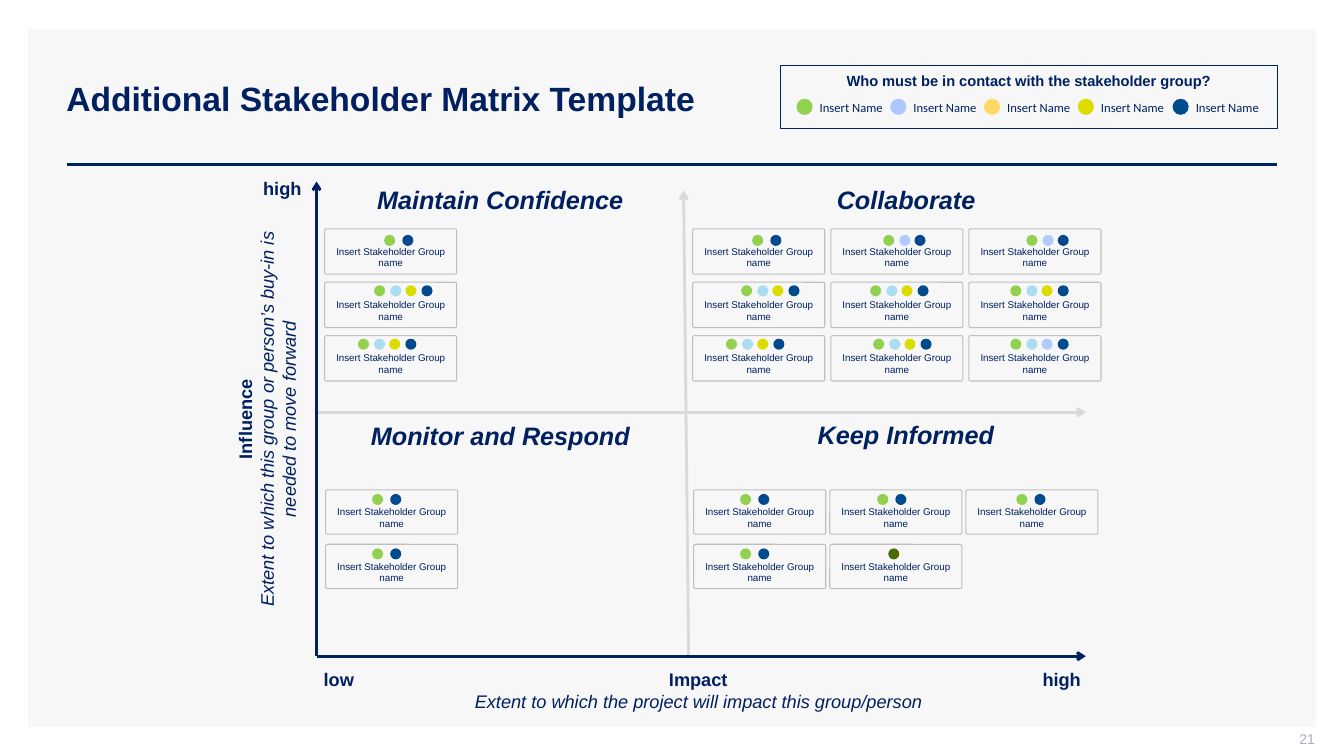
import pptx
import pptx.dml.color
import pptx.enum.shapes
import pptx.enum.text
import pptx.oxml
import pptx.oxml.ns
import pptx.util

PX = 9144  # 100 px to the inch
Color = pptx.dml.color.RGBColor
Shape = pptx.enum.shapes.MSO_SHAPE
Align = pptx.enum.text.PP_ALIGN
Anchor = pptx.enum.text.MSO_ANCHOR

NAVY = Color(0x00, 0x20, 0x60)
PANEL = Color(0xF7, 0xF7, 0xF7)
CARD_EDGE = Color(0xBF, 0xBF, 0xBF)
GRID = Color(0xD9, 0xD9, 0xD9)
PAGE_GREY = Color(0xAD, 0xAF, 0xBB)
GREEN = Color(0x92, 0xD0, 0x50)
PERIWINKLE = Color(0xAC, 0xC8, 0xFF)
LAVENDER = Color(0xB1, 0xCB, 0xFF)
AMBER = Color(0xFF, 0xD9, 0x66)
LIME = Color(0xDC, 0xDC, 0x00)
BLUE = Color(0x00, 0x4A, 0x8D)
SKY = Color(0xAA, 0xDD, 0xF1)
OLIVE = Color(0x49, 0x6A, 0x00)

LABEL_INSETS = (7, 4, 7, 4)
UPPER_CARD = (131, 45)
LOWER_CARD = (131, 44)

# Distance from the first dot to the last, by number of dots
DOT_SPANS = {1: 0, 2: 18, 3: 31, 4: 47}
PAIR = (GREEN, BLUE)
TRIO = (GREEN, LAVENDER, BLUE)
FOUR = (GREEN, SKY, LIME, BLUE)
FOUR_LAVENDER = (GREEN, SKY, LAVENDER, BLUE)

# Heading, its box, first card, card size, card steps, and rows:
# (dot drop, [(dot start, dot colours) for each card])
QUADRANTS = [
    ("Maintain Confidence", (367, 179, 261, 37), (322, 227), UPPER_CARD, (137, 53),
     [(6, [(59, PAIR)]), (3, [(49, FOUR)]), (3, [(33, FOUR)])]),
    ("Collaborate", (823, 179, 153, 37), (687, 227), UPPER_CARD, (137, 53),
     [(6, [(59, PAIR), (52, TRIO), (57, TRIO)]),
      (3, [(48, FOUR), (39, FOUR), (41, FOUR)]),
      (3, [(33, FOUR), (42, FOUR), (41, FOUR_LAVENDER)])]),
    ("Monitor and Respond", (361, 413, 274, 37), (323, 486), LOWER_CARD, (135, 54),
     [(4, [(46, PAIR)]), (4, [(46, PAIR)])]),
    ("Keep Informed", (804, 412, 191, 37), (688, 486), LOWER_CARD, (135, 54),
     [(4, [(46, PAIR), (47, PAIR), (50, PAIR)]),
      (4, [(46, PAIR), (58, (OLIVE,))])]),
]


def scaled(lengths):
    return [length * PX for length in lengths]


def add_plain_shape(page, kind, box, fill=None, edge=None, edge_width=0.75):
    shape = page.shapes.add_shape(kind, *scaled(box))
    shape.shadow.inherit = False
    if fill is None:
        shape.fill.background()
    else:
        shape.fill.solid()
        shape.fill.fore_color.rgb = fill
    if edge is None:
        shape.line.fill.background()
    else:
        shape.line.color.rgb = edge
        shape.line.width = pptx.util.Pt(edge_width)
    return shape


def add_dot(page, left, top, size, color):
    add_plain_shape(page, Shape.OVAL, (left, top, size, size), fill=color)


def set_frame(frame, insets, anchor=Anchor.TOP, wrap=True):
    frame.word_wrap = wrap
    frame.vertical_anchor = anchor
    (frame.margin_left, frame.margin_top,
     frame.margin_right, frame.margin_bottom) = scaled(insets)


def add_span(para, text, size, bold=False, italic=False, color=NAVY, face="Arial"):
    span = para.add_run()
    span.text = text
    span.font.name = face
    span.font.size = pptx.util.Pt(size)
    span.font.bold = bold
    span.font.italic = italic
    span.font.color.rgb = color


def add_label(page, box, text, size, align=Align.LEFT, insets=LABEL_INSETS,
              anchor=Anchor.TOP, wrap=False, **style):
    """Add a text box with one paragraph of one span, and return the box."""
    label = page.shapes.add_textbox(*scaled(box))
    set_frame(label.text_frame, insets, anchor, wrap)
    para = label.text_frame.paragraphs[0]
    para.alignment = align
    add_span(para, text, size, **style)
    return label


def add_line(page, start, end, color, arrow=False):
    line = page.shapes.add_connector(
        pptx.enum.shapes.MSO_CONNECTOR.STRAIGHT, *scaled(start + end))
    line.line.color.rgb = color
    line.line.width = pptx.util.Pt(2)
    if arrow:
        head = pptx.oxml.parse_xml(
            f'<a:tailEnd {pptx.oxml.ns.nsdecls("a")} type="arrow"/>')
        line.line._get_or_add_ln().append(head)
    line.element.spPr.append(
        pptx.oxml.parse_xml(f'<a:effectLst {pptx.oxml.ns.nsdecls("a")}/>'))


def add_header(page, box):
    left, top, width, height = box
    title = add_label(page, (left, top, 700, height),
                      "Additional Stakeholder Matrix Template", 24,
                      insets=(10, 5, 10, 5), anchor=Anchor.MIDDLE, wrap=True, bold=True)
    title.text_frame.paragraphs[0].line_spacing = 0.9
    rule_top = top + height + 4
    add_line(page, (left + 10, rule_top), (left + width, rule_top), NAVY)


def add_legend(page, box):
    left, top = box[:2]
    panel = add_plain_shape(page, Shape.RECTANGLE, box, edge=NAVY, edge_width=0.5)
    set_frame(panel.text_frame, (8, 8, 8, 8))
    para = panel.text_frame.paragraphs[0]
    para.alignment = Align.CENTER
    para.line_spacing = 0.9
    add_span(para, "Who must be in contact with the stakeholder group?", 10.5, bold=True)
    for index, color in enumerate((GREEN, PERIWINKLE, AMBER, LIME, BLUE)):
        dot_left = left + 16 + 373 * index // 4
        add_dot(page, dot_left, top + 33, 16, color)
        add_label(page, (dot_left + 16, top + 30, 77, 22), "Insert Name", 9, face="Calibri")


def add_card(page, box, dot_drop, dot_start, colors):
    left, top = box[:2]
    card = add_plain_shape(page, Shape.ROUNDED_RECTANGLE, box, edge=CARD_EDGE)
    card.adjustments[0] = 0.04
    set_frame(card.text_frame, (2, 16, 2, 5), Anchor.MIDDLE)
    para = card.text_frame.paragraphs[0]
    para.alignment = Align.CENTER
    add_span(para, "Insert Stakeholder Group name", 7)
    gaps = max(len(colors) - 1, 1)
    for index, color in enumerate(colors):
        shift = round(DOT_SPANS[len(colors)] * index / gaps)
        add_dot(page, left + dot_start + shift, top + dot_drop, 11, color)


def add_quadrant(page, heading, heading_box, first_card, card_size, steps, rows):
    add_label(page, heading_box, heading, 18, bold=True, italic=True)
    for row, (dot_drop, cards) in enumerate(rows):
        for column, (dot_start, colors) in enumerate(cards):
            corner = (first_card[0] + steps[0] * column, first_card[1] + steps[1] * row)
            add_card(page, corner + card_size, dot_drop, dot_start, colors)


def add_axes(page, box):
    left, top, width, height = box
    right, bottom = left + width, top + height
    add_line(page, (left, top + 229), (right, top + 229), GRID, arrow=True)
    add_line(page, (left + 369, bottom), (left + 364, top + 9), GRID, arrow=True)
    add_line(page, (left, bottom), (left, top), NAVY, arrow=True)
    add_line(page, (left, bottom), (right, bottom), NAVY, arrow=True)

    add_label(page, (left - 60, top - 8, 53, 29), "high", 13, bold=True)
    add_label(page, (left, bottom + 8, 45, 29), "low", 13, bold=True)
    add_label(page, (right - 50, bottom + 8, 53, 29), "high", 13, bold=True)

    influence = add_label(page, (left - 89, top + 36, 90, 400), "Influence", 13,
                          Align.CENTER, wrap=True, bold=True)
    influence.element.txBody.bodyPr.set("vert", "vert270")
    para = influence.text_frame.add_paragraph()
    para.alignment = Align.CENTER
    add_span(para, "Extent to which this group or person’s buy-in is needed to move forward",
             13, italic=True)

    impact = add_label(page, (left + 106, bottom + 8, 545, 61), "Impact", 13,
                       Align.CENTER, wrap=True, bold=True)
    para = impact.text_frame.paragraphs[0]
    para.add_line_break()
    add_span(para, "Extent to which the project will impact this group/person", 13, italic=True)


def main():
    deck = pptx.Presentation()
    deck.slide_width, deck.slide_height = scaled((1333, 750))
    page = deck.slides.add_slide(deck.slide_layouts[6])
    add_plain_shape(page, Shape.RECTANGLE, (28, 29, 1277, 692), fill=PANEL)
    add_header(page, (56, 40, 1211, 119))
    add_legend(page, (774, 65, 493, 62))
    add_axes(page, (314, 180, 763, 471))
    for quadrant in QUADRANTS:
        add_quadrant(page, *quadrant)
    add_label(page, (1004, 725, 300, 21), "21", 10, Align.RIGHT, (10, 0, 0, 5),
              Anchor.MIDDLE, wrap=True, color=PAGE_GREY)
    deck.save("out.pptx")


if __name__ == "__main__":
    main()
